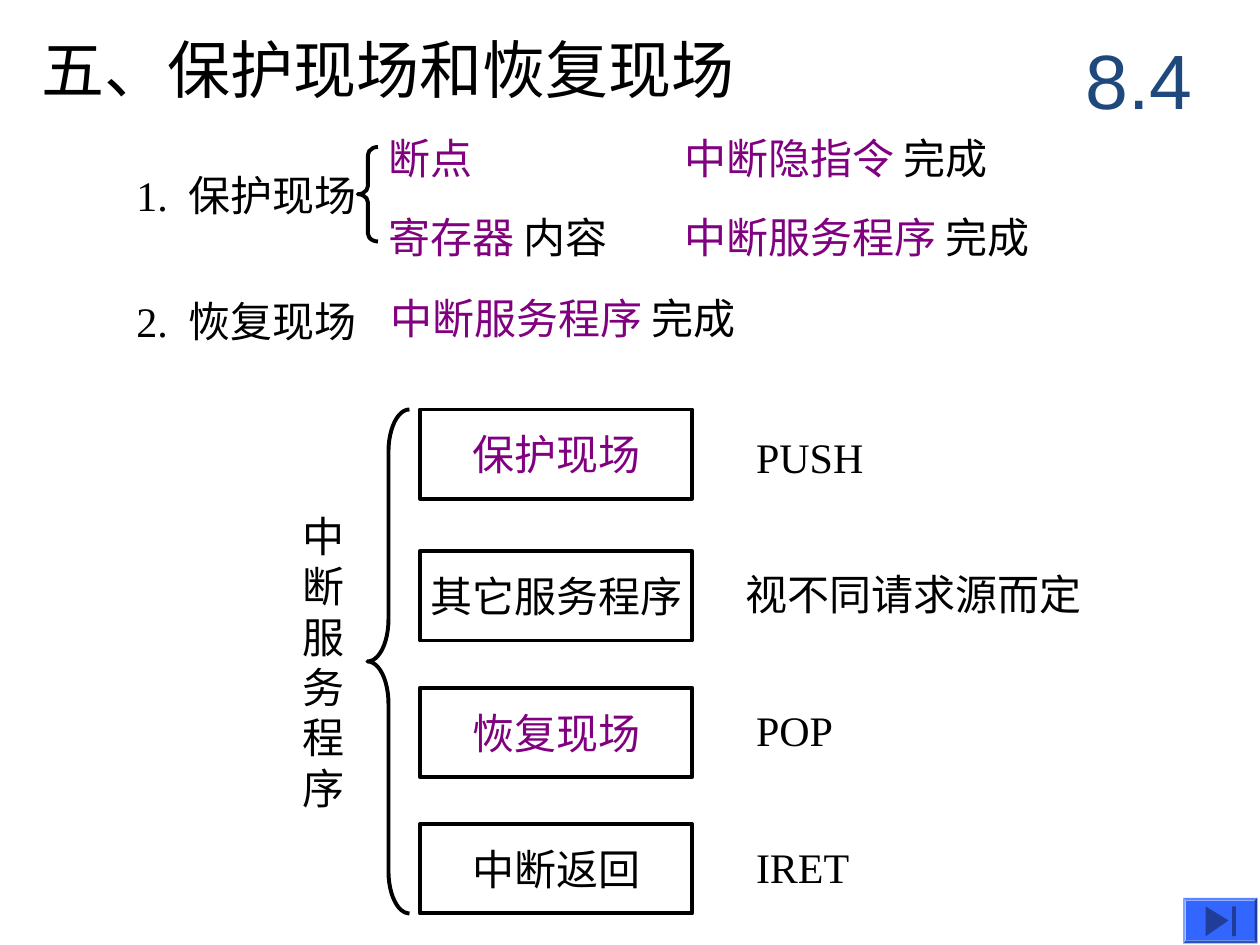
from pptx import Presentation
from pptx.dml.color import RGBColor
from pptx.enum.shapes import MSO_SHAPE as Shape
from pptx.enum.text import MSO_ANCHOR as Anchor, PP_ALIGN as Align
from pptx.oxml import parse_xml
from pptx.oxml.ns import nsdecls
from pptx.util import Pt

BLACK, PURPLE, NAVY = "000000", "800080", "1F497D"
BUTTON_BLUE, ICON_BLUE = "3366FF", "1F3D99"
SERIF, SANS = "Times New Roman", "Arial"
NUMBER_TAB = 30

# left, top, width, height, runs
TITLE = (24, 18, 498, 42, [("五、保护现场和恢复现场", BLACK)])
SECTION = (606, 12, 90, 66, [("8.4", NAVY)])
NOTES = [
    (78, 90, 138, 42, [("1.\t保护现场", BLACK)]),
    (78, 162, 144, 42, [("2.\t恢复现场", BLACK)]),
    (222, 72, 78, 36, [("断点", PURPLE)]),
    (222, 114, 156, 42, [("寄存器 ", PURPLE), ("内容", BLACK)]),
    (391, 72, 243, 36, [("中断隐指令 ", PURPLE), ("完成", BLACK)]),
    (391, 114, 300, 42, [("中断服务程序 ", PURPLE), ("完成", BLACK)]),
    (223, 163.5, 225, 36, [("中断服务程序 ", PURPLE), ("完成", BLACK)]),
]
COLUMN_LABEL = "中断服务程序"

# box top, box text, colour, remark left, remark top, remark
STEPS = [
    (234, "保护现场", PURPLE, 432, 240, "PUSH"),
    (315, "其它服务程序", BLACK, 426, 318, "视不同请求源而定"),
    (393, "恢复现场", PURPLE, 432, 396, "POP"),
    (471, "中断返回", BLACK, 432, 474, "IRET"),
]
BOX_LEFT, BOX_WIDTH, BOX_HEIGHT = 240, 155.5, 51

# left, top, width, height, curl as a share of the width
BRACES = [(204.5, 84, 11.5, 54, 0.4), (210, 234, 24, 288, 1)]

BUTTON = (676, 513, 42.5, 26)
ICON_TRIANGLE = [(702, 526.5), (689, 535), (689, 518)]
ICON_BAR = (704, 518, 2.25, 17)


def color(value):
    return RGBColor.from_string(value)


def set_runs(paragraph, runs, size=24, font=SERIF, align=Align.LEFT):
    if "\t" in runs[0][0]:
        paragraph._p.get_or_add_pPr().append(parse_xml(
            f'<a:tabLst {nsdecls("a")}>'
            f'<a:tab pos="{Pt(NUMBER_TAB)}" algn="l"/></a:tabLst>'))
    paragraph.alignment = align
    paragraph.font.size = Pt(size)
    paragraph.font.name = font
    for text, run_color in runs:
        run = paragraph.add_run()
        run.text = text
        run.font.color.rgb = color(run_color)


def prepare_frame(shape):
    frame = shape.text_frame
    frame.word_wrap = True
    frame.vertical_anchor = Anchor.MIDDLE
    frame.margin_left = frame.margin_right = 0
    frame.margin_top = frame.margin_bottom = Pt(3.6)
    return frame


def add_text(slide, left, top, width, height, runs, **style):
    box = slide.shapes.add_textbox(Pt(left), Pt(top), Pt(width), Pt(height))
    set_runs(prepare_frame(box).paragraphs[0], runs, **style)


def paint(shape, fill=None, line=None):
    shape.shadow.inherit = False
    if fill:
        shape.fill.solid()
        shape.fill.fore_color.rgb = color(fill)
    else:
        shape.fill.background()
    if line:
        shape.line.color.rgb = color(line)
        shape.line.width = Pt(2.25)
    else:
        shape.line.fill.background()


def add_preset(slide, kind, left, top, width, height, fill=None, line=None):
    shape = slide.shapes.add_shape(
        kind, Pt(left), Pt(top), Pt(width), Pt(height))
    paint(shape, fill, line)
    return shape


def add_steps(slide):
    for box_top, text, text_color, left, top, remark in STEPS:
        box = add_preset(slide, Shape.RECTANGLE, BOX_LEFT, box_top,
                         BOX_WIDTH, BOX_HEIGHT, line=BLACK)
        set_runs(prepare_frame(box).paragraphs[0], [(text, text_color)],
                 align=Align.CENTER)
        add_text(slide, left, top, 204, 42, [(remark, BLACK)])


def add_column_label(slide):
    """One character to a paragraph, read downwards."""
    box = slide.shapes.add_textbox(Pt(172.8), Pt(288), Pt(26), Pt(180))
    frame = prepare_frame(box)
    for index, character in enumerate(COLUMN_LABEL):
        paragraph = frame.add_paragraph() if index else frame.paragraphs[0]
        set_runs(paragraph, [(character, BLACK)])


def add_next_button(slide):
    button = add_preset(slide, Shape.BEVEL, *BUTTON, fill=BUTTON_BLUE)
    button.adjustments[0] = 0.06
    start, *corners = ICON_TRIANGLE
    builder = slide.shapes.build_freeform(*start, scale=Pt(1))
    builder.add_line_segments(corners, close=True)
    paint(builder.convert_to_shape(), fill=ICON_BLUE)
    add_preset(slide, Shape.RECTANGLE, *ICON_BAR, fill=ICON_BLUE)


def main():
    presentation = Presentation()
    presentation.slide_width, presentation.slide_height = Pt(720), Pt(540)
    slide = presentation.slides.add_slide(presentation.slide_layouts[6])
    add_text(slide, *TITLE, size=36)
    add_text(slide, *SECTION, size=44, font=SANS, align=Align.CENTER)
    for note in NOTES:
        add_text(slide, *note)
    for *place, curl in BRACES:
        brace = add_preset(slide, Shape.LEFT_BRACE, *place, line=BLACK)
        brace.adjustments[0] = curl
    add_steps(slide)
    add_column_label(slide)
    add_next_button(slide)
    presentation.save("out.pptx")


if __name__ == "__main__":
    main()
